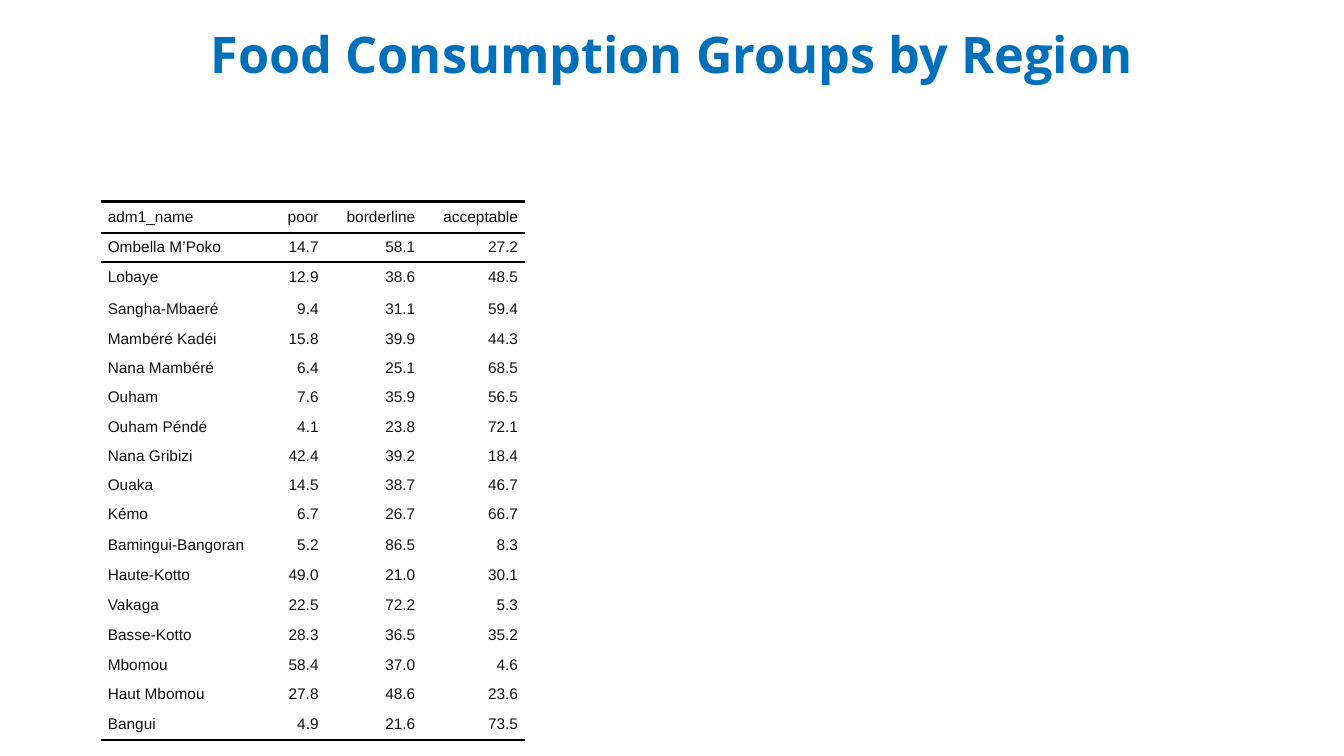
from dataclasses import dataclass

from lxml.etree import SubElement
from pptx import Presentation
from pptx.dml.color import RGBColor
from pptx.enum.text import MSO_ANCHOR, PP_ALIGN
from pptx.oxml.ns import qn
from pptx.util import Pt


@dataclass(frozen=True)
class Theme:
    """Colours, fonts and type sizes of the slide."""
    title_color: str = "0070BA"
    text_color: str = "111111"
    rule_color: str = "000000"
    title_font: str = "Open Sans"
    table_font: str = "Arial"
    title_size: int = 36
    table_size: int = 11
    rule_width: int = 2


THEME = Theme()
PLAIN_TABLE_STYLE = "{2D5ABB26-0587-4C30-8999-92F81FD0307C}"
COLUMN_WIDTHS = (118.1, 42.5, 69.1, 73.4)
SHORT_ROW, TALL_ROW = 20.9, 22.3
TALL_ROWS = {0, 2, 3, 11, 13, 17}
CELL_INDENT = 5
CELL_SPACING = 2
REGIONS = [
    ("adm1_name", "poor", "borderline", "acceptable"),
    ("Ombella M’Poko", "14.7", "58.1", "27.2"),
    ("Lobaye", "12.9", "38.6", "48.5"),
    ("Sangha-Mbaeré", "9.4", "31.1", "59.4"),
    ("Mambéré Kadéi", "15.8", "39.9", "44.3"),
    ("Nana Mambéré", "6.4", "25.1", "68.5"),
    ("Ouham", "7.6", "35.9", "56.5"),
    ("Ouham Péndé", "4.1", "23.8", "72.1"),
    ("Nana Gribizi", "42.4", "39.2", "18.4"),
    ("Ouaka", "14.5", "38.7", "46.7"),
    ("Kémo", "6.7", "26.7", "66.7"),
    ("Bamingui-Bangoran", "5.2", "86.5", "8.3"),
    ("Haute-Kotto", "49.0", "21.0", "30.1"),
    ("Vakaga", "22.5", "72.2", "5.3"),
    ("Basse-Kotto", "28.3", "36.5", "35.2"),
    ("Mbomou", "58.4", "37.0", "4.6"),
    ("Haut Mbomou", "27.8", "48.6", "23.6"),
    ("Bangui", "4.9", "21.6", "73.5"),
]


def format_font(font, name, size, color, bold=False):
    """Set the typeface, size, colour and weight of a font."""
    font.name = name
    font.size = Pt(size)
    font.bold = bold
    font.color.rgb = RGBColor.from_string(color)


def add_title(page, text):
    """Place and format the slide title."""
    title = page.shapes.title
    title.left, title.top, title.width, title.height = Pt(20.2), Pt(13.7), Pt(919.4), Pt(54)
    frame = title.text_frame
    frame.text = text
    frame.word_wrap = True
    frame.vertical_anchor = MSO_ANCHOR.MIDDLE
    para = frame.paragraphs[0]
    para.alignment = PP_ALIGN.CENTER
    para.line_spacing = 0.9
    format_font(para.runs[0].font, THEME.title_font, THEME.title_size, THEME.title_color, True)


def add_rule(cell, side):
    """Draw a solid border on one side of a cell."""
    line = SubElement(cell._tc.get_or_add_tcPr(), qn(f"a:{side}"), w=str(Pt(THEME.rule_width)))
    fill = SubElement(line, qn("a:solidFill"))
    SubElement(fill, qn("a:srgbClr"), val=THEME.rule_color)


def fill_cell(cell, text, alignment):
    """Write and format the text of one table cell."""
    cell.margin_left = cell.margin_right = cell.margin_top = cell.margin_bottom = Pt(0)
    cell.vertical_anchor = MSO_ANCHOR.MIDDLE
    cell.fill.background()
    para = cell.text_frame.paragraphs[0]
    para.text = text
    para.alignment = alignment
    para.space_before = para.space_after = Pt(CELL_SPACING)
    properties = para._p.get_or_add_pPr()
    for margin in ("marL", "marR"):
        properties.set(margin, str(Pt(CELL_INDENT)))
    format_font(para.runs[0].font, THEME.table_font, THEME.table_size, THEME.text_color)


def add_region_table(page, records):
    """Add the table with rules around its header and under its last row."""
    heights = [TALL_ROW if index in TALL_ROWS else SHORT_ROW for index in range(len(records))]
    frame = page.shapes.add_table(len(records), len(COLUMN_WIDTHS), Pt(72), Pt(144),
                                  Pt(sum(COLUMN_WIDTHS)), Pt(sum(heights)))
    table = frame.table
    table.first_row = table.horz_banding = False
    table._tbl.tblPr.find(qn("a:tableStyleId")).text = PLAIN_TABLE_STYLE
    for column, width in zip(table.columns, COLUMN_WIDTHS):
        column.width = Pt(width)
    rules = {0: ("lnT", "lnB"), 1: ("lnT",), len(records) - 1: ("lnB",)}
    for row_index, (record, height) in enumerate(zip(records, heights)):
        table.rows[row_index].height = Pt(height)
        for column_index, text in enumerate(record):
            cell = table.cell(row_index, column_index)
            for side in rules.get(row_index, ()):
                add_rule(cell, side)
            fill_cell(cell, text, PP_ALIGN.RIGHT if column_index else PP_ALIGN.LEFT)


def main():
    """Build and save the deck."""
    deck = Presentation()
    deck.slide_width, deck.slide_height = Pt(960), Pt(540)
    page = deck.slides.add_slide(deck.slide_layouts[5])
    add_title(page, "Food Consumption Groups by Region")
    add_region_table(page, REGIONS)
    deck.save("out.pptx")


if __name__ == "__main__":
    main()
